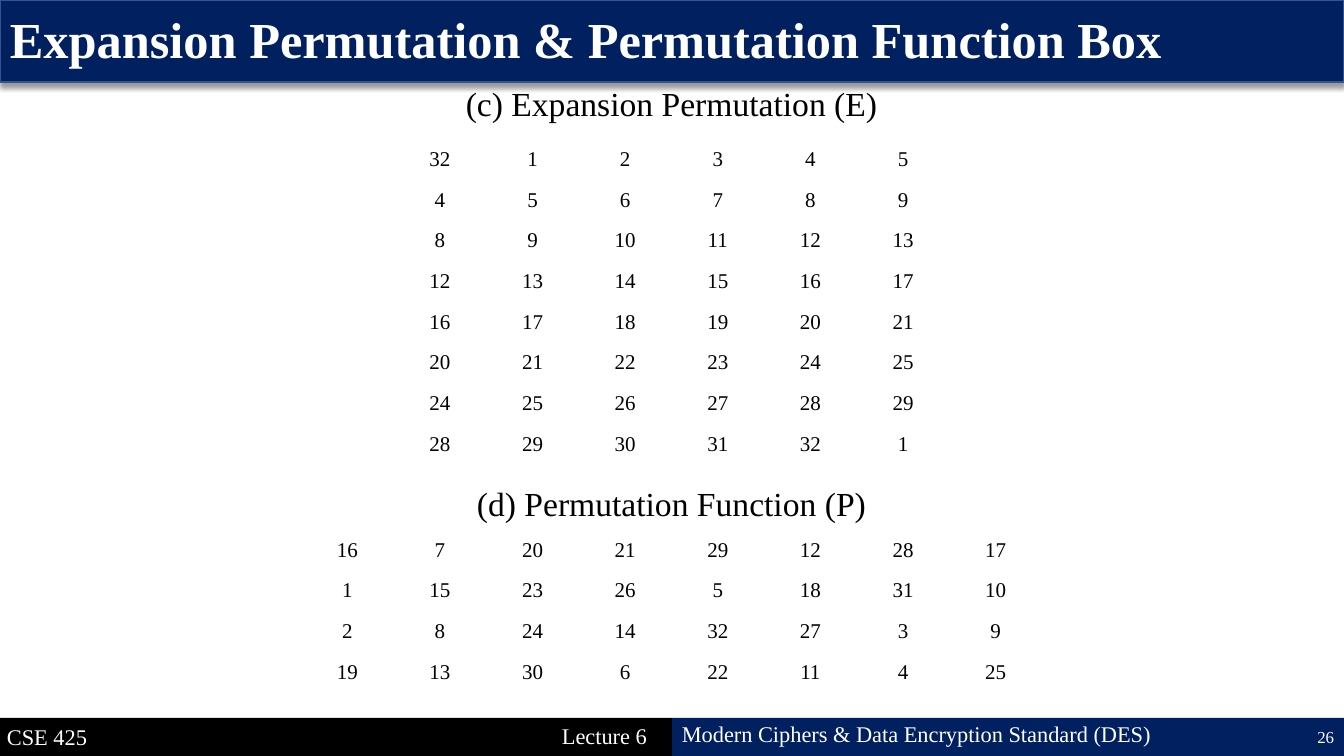
from lxml import etree
from pptx import Presentation
from pptx.dml.color import RGBColor as RGB
from pptx.enum.shapes import MSO_SHAPE as Kind
from pptx.enum.text import MSO_ANCHOR as Anchor, PP_ALIGN as Align
from pptx.util import Emu, Pt

theme = {
    "font": "Times New Roman",
    "navy": RGB.from_string("002060"), "edge": RGB.from_string("325491"),
    "black": RGB.from_string("000000"), "white": RGB.from_string("FFFFFF"),
    "title": 36, "head": 24, "foot": 16, "cell": 15, "page": 12,
}


def px(n):
    return Emu(round(n * 914400 / 100.8))


def style(para, size, color, align=Align.LEFT, bold=False):
    para.alignment = align
    for run in para.runs:
        font = run.font
        font.name, font.size, font.bold = theme["font"], Pt(theme[size]), bold
        font.color.rgb = theme[color]


deck = Presentation()
deck.slide_width, deck.slide_height = px(1344), px(756)
slide = deck.slides.add_slide(deck.slide_layouts[6])
shapes = slide.shapes

# Footer bars and title band
bars = [(672, 718, 672, 38, "navy"), (0, 718, 672, 38, "black"),
        (0, 0, 1344, 82, "navy")]
for x, y, w, h, color in bars:
    bar = shapes.add_shape(Kind.RECTANGLE, px(x), px(y), px(w), px(h))
    bar.shadow.inherit = False
    bar.fill.solid()
    bar.fill.fore_color.rgb = theme[color]
    bar.line.fill.background()

# Outline and shadow of the title band, the last bar drawn
bar.line.color.rgb = theme["edge"]
bar.line.width = Pt(1)
ns = "{http://schemas.openxmlformats.org/drawingml/2006/main}"
glow = etree.SubElement(
    bar._element.spPr.find(ns + "effectLst"), ns + "outerShdw",
    blurRad=str(Pt(4)), dist=str(Pt(3)), dir="5400000", algn="t", rotWithShape="0")
tint = etree.SubElement(glow, ns + "srgbClr", val="000000")
etree.SubElement(tint, ns + "alpha", val="40000")

# Table of both permutations
expand = [[(4 * row + col - 1) % 32 + 1 for col in range(6)] for row in range(8)]
permute = [
    [16, 7, 20, 21, 29, 12, 28, 17],
    [1, 15, 23, 26, 5, 18, 31, 10],
    [2, 8, 24, 14, 32, 27, 3, 9],
    [19, 13, 30, 6, 22, 11, 4, 25],
]
rows = [["(c) Expansion Permutation (E)"]]
rows += [["", *row, ""] for row in expand]
rows += [["(d) Permutation Function (P)"], *permute]

grid = shapes.add_table(len(rows), 8, px(301), px(83), px(741), px(614)).table
grid.first_row = grid.horz_banding = False
# Built-in style without fills or grid lines
plain = "{2D5ABB26-0587-4C30-8999-92F81FD0307C}"
grid._tbl.tblPr.find(ns + "tableStyleId").text = plain
for col in grid.columns:
    col.width = px(741) // 8
for row in grid.rows:
    row.height = px(285) // 7
for i, tall in [(0, 61), (8, 54), (9, 52)]:
    grid.rows[i].height = px(tall)

for i, row in enumerate(rows):
    for cell in grid.rows[i].cells:
        cell.fill.background()
        cell.margin_left = cell.margin_right = px(4)
        cell.margin_top = cell.margin_bottom = px(4)
    if len(row) == 1:
        grid.cell(i, 0).merge(grid.cell(i, 7))
    for j, value in enumerate(row):
        frame = grid.cell(i, j).text_frame
        frame.text = str(value)
        size = "head" if len(row) == 1 else "cell"
        style(frame.paragraphs[0], size, "black", Align.CENTER)

# Title, footer labels and page number
labels = [
    ("Expansion Permutation & Permutation Function Box",
     0, 1, 1208, 82, "title", Align.LEFT, Anchor.MIDDLE),
    ("CSE 425", -3, 718, 101, 37, "foot", Align.LEFT, Anchor.TOP),
    ("Lecture 6", 552, 717, 107, 37, "foot", Align.LEFT, Anchor.TOP),
    ("Modern Ciphers & Data Encryption Standard (DES)",
     672, 715, 496, 37, "foot", Align.LEFT, Anchor.TOP),
    ("26", 1042, 717, 302, 40, "page", Align.RIGHT, Anchor.MIDDLE),
]
for text, x, y, w, h, size, align, anchor in labels:
    frame = shapes.add_textbox(px(x), px(y), px(w), px(h)).text_frame
    frame.word_wrap = size != "foot"
    frame.vertical_anchor = anchor
    frame.text = text
    para = frame.paragraphs[0]
    style(para, size, "white", align, size == "title")
    if size == "title":
        para.line_spacing = 0.9

deck.save("out.pptx")
